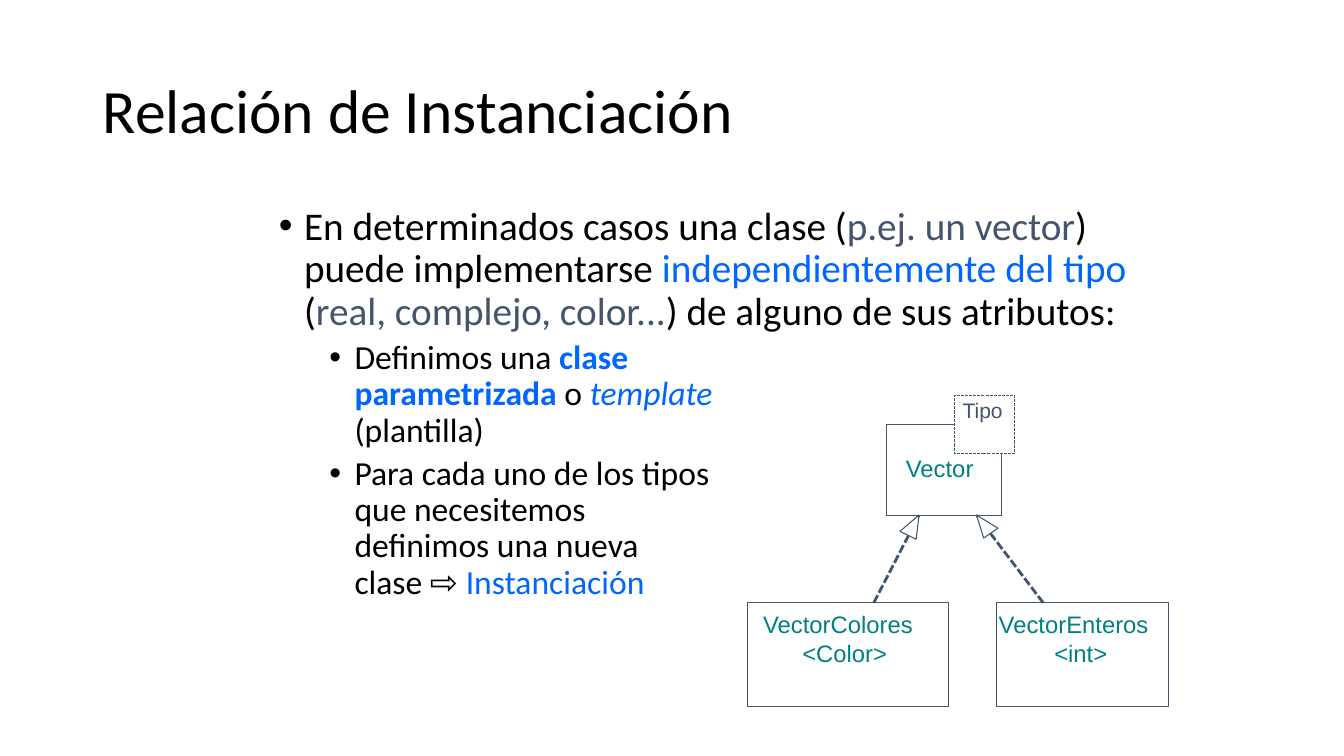
"""Build the slide on the instantiation relationship between classes."""
import pptx
import pptx.dml.color
import pptx.enum.dml
import pptx.enum.shapes
import pptx.enum.text
import pptx.oxml.ns
import pptx.util
from lxml import etree

Cm, Pt = pptx.util.Cm, pptx.util.Pt
RGBColor = pptx.dml.color.RGBColor
BLACK = RGBColor(0x00, 0x00, 0x00)
WHITE = RGBColor(0xFF, 0xFF, 0xFF)
SLATE = RGBColor(0x44, 0x54, 0x6A)
BLUE = RGBColor(0x00, 0x66, 0xFF)
TEAL = RGBColor(0x00, 0x80, 0x80)
DASH = pptx.enum.dml.MSO_LINE.SQUARE_DOT
qn = pptx.oxml.ns.qn


def add_runs(p, runs, size, font):
    """Add (text, colour, format values) runs, breaking lines at newlines."""
    for text, color, extra in runs:
        for i, line in enumerate(text.split("\n")):
            if i:
                p.add_line_break()
            if not line:
                continue
            r = p.add_run()
            r.text = line
            for name, value in {"size": Pt(size), "name": font, **extra}.items():
                setattr(r.font, name, value)
            r.font.color.rgb = color


def set_outline(sp, fill, dash=None):
    """Give a shape a hairline and a plain fill or none."""
    sp.shadow.inherit = False
    if fill is None:
        sp.fill.background()
    else:
        sp.fill.solid()
        sp.fill.fore_color.rgb = fill
    sp.line.color.rgb = SLATE
    sp.line.width = Pt(0)
    sp.line.dash_style = dash


prs = pptx.Presentation()
prs.slide_width, prs.slide_height = Cm(33.87), Cm(19.05)
s = prs.slides.add_slide(prs.slide_layouts[6])

tf = s.shapes.add_textbox(Cm(2.34), Cm(1.02), Cm(29.21), Cm(3.68)).text_frame
tf.word_wrap = True
tf.vertical_anchor = pptx.enum.text.MSO_ANCHOR.MIDDLE
tf.paragraphs[0].line_spacing = 0.9
add_runs(tf.paragraphs[0], [("Relación de Instanciación", BLACK, {})], 44, "Calibri")

bullets = [
    (0, 28, 0, [
        ("En determinados casos una clase (", BLACK, {}),
        ("p.ej. un vector", SLATE, {}),
        (") puede implementarse ", BLACK, {}),
        ("independientemente del tipo", BLUE, {}),
        (" (", BLACK, {}),
        ("real, complejo, color...", SLATE, {}),
        (") de alguno de sus atributos:", BLACK, {}),
    ]),
    (1, 24, 5, [
        ("Definimos una ", BLACK, {}),
        ("clase \nparametrizada", BLUE, {"bold": True}),
        (" o ", BLACK, {}),
        ("template\n", BLUE, {"italic": True}),
        ("(plantilla)", BLACK, {}),
    ]),
    (1, 24, 5, [
        ("Para cada uno de los tipos\nque necesitemos\ndefinimos una nueva\nclase ⇨ ", BLACK, {}),
        ("Instanciación", BLUE, {}),
    ]),
]
tf = s.shapes.add_textbox(Cm(6.78), Cm(5.08), Cm(22.86), Cm(13.97)).text_frame
tf.word_wrap = True
for i, (level, size, before, runs) in enumerate(bullets):
    p = tf.add_paragraph() if i else tf.paragraphs[0]
    pPr = p._p.get_or_add_pPr()
    pPr.set("marL", str(Cm(0.635 + 1.27 * level)))
    pPr.set("indent", str(Cm(-0.635)))
    etree.SubElement(pPr, qn("a:buFont")).set("typeface", "Arial")
    etree.SubElement(pPr, qn("a:buChar")).set("char", "•")
    for name, value in {"level": level, "line_spacing": 0.9, "space_before": Pt(before)}.items():
        setattr(p, name, value)
    add_runs(p, runs, size, "Calibri")

class_boxes = [
    (22.33, 10.69, 2.9, 2.29, None, None),
    (24.05, 9.96, 1.52, 1.47, WHITE, DASH),
    (25.12, 15.19, 4.32, 2.62, None, None),
    (18.85, 15.19, 5.05, 2.62, None, None),
]
for x, y, w, h, fill, dash in class_boxes:
    sp = s.shapes.add_shape(pptx.enum.shapes.MSO_SHAPE.RECTANGLE, Cm(x), Cm(y), Cm(w), Cm(h))
    set_outline(sp, fill, dash)

labels = [
    ("Tipo", 24.26, 10.01, 1.04, 15, SLATE),
    ("Vector", 22.83, 11.43, 1.73, 17, TEAL),
    ("VectorEnteros", 25.17, 15.37, 3.99, 17, TEAL),
    ("<int>", 26.57, 16.1, 1.35, 17, TEAL),
    ("VectorColores", 19.23, 15.37, 3.99, 17, TEAL),
    ("<Color>", 20.22, 16.1, 2.16, 17, TEAL),
]
label_format = {
    "margin_left": 0, "margin_top": 0, "margin_right": 0, "margin_bottom": 0,
    "word_wrap": False, "auto_size": pptx.enum.text.MSO_AUTO_SIZE.SHAPE_TO_FIT_TEXT,
}
for text, x, y, w, size, color in labels:
    tf = s.shapes.add_textbox(Cm(x), Cm(y), Cm(w), Cm(size * 0.043)).text_frame
    for name, value in label_format.items():
        setattr(tf, name, value)
    add_runs(tf.paragraphs[0], [(text, color, {})], size, "Arial")

inheritance = [
    ((22.02, 15.19), [(23.16, 12.98), (23.09, 13.59), (22.68, 13.39)]),
    ((26.29, 15.19), [(24.61, 12.98), (25.15, 13.31), (24.79, 13.56)]),
]
for start, triangle in inheritance:
    points = [(Cm(x), Cm(y)) for x, y in triangle]
    tip = points[0]
    line = s.shapes.add_connector(
        pptx.enum.shapes.MSO_CONNECTOR.STRAIGHT, Cm(start[0]), Cm(start[1]), *tip)
    line.line.color.rgb = SLATE
    line.line.width = Pt(0)
    line.line.dash_style = DASH
    etree.SubElement(line._element.spPr, qn("a:effectLst"))
    builder = s.shapes.build_freeform(*tip)
    builder.add_line_segments(points[1:], close=True)
    set_outline(builder.convert_to_shape(), WHITE)

prs.save("out.pptx")
